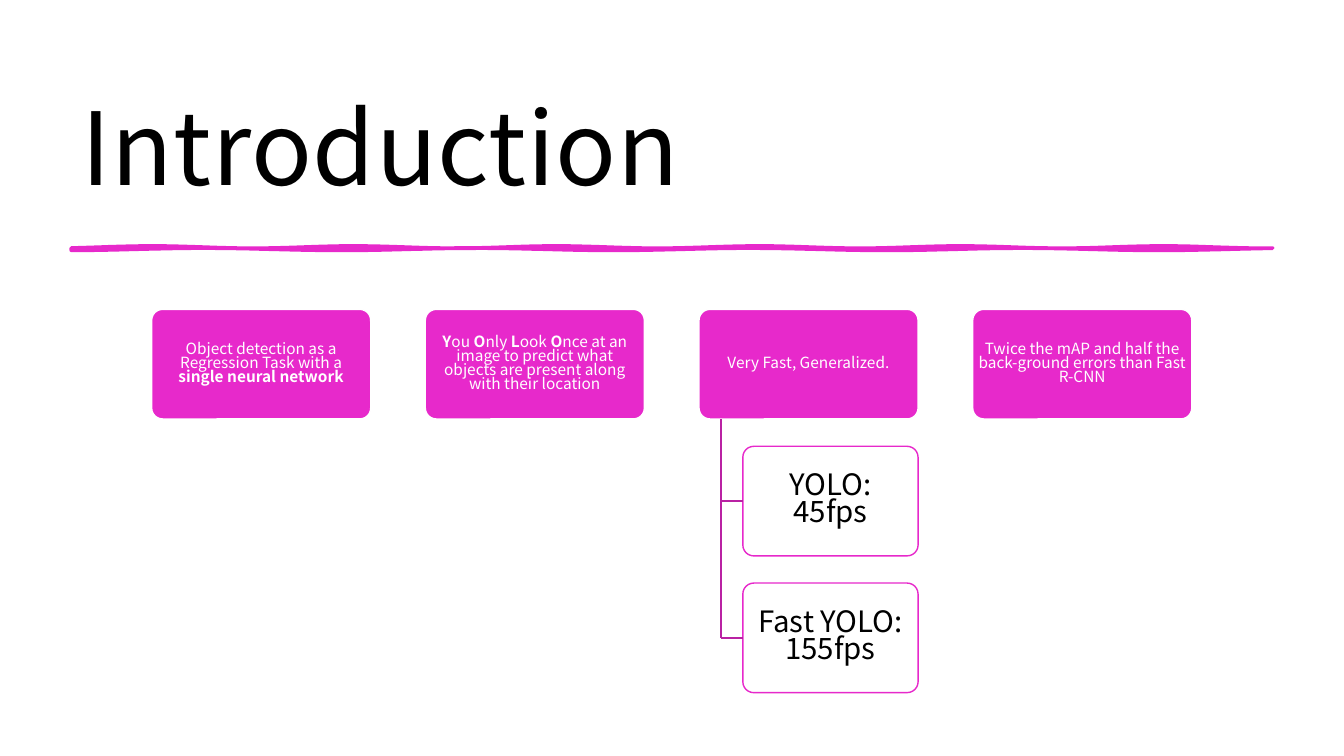
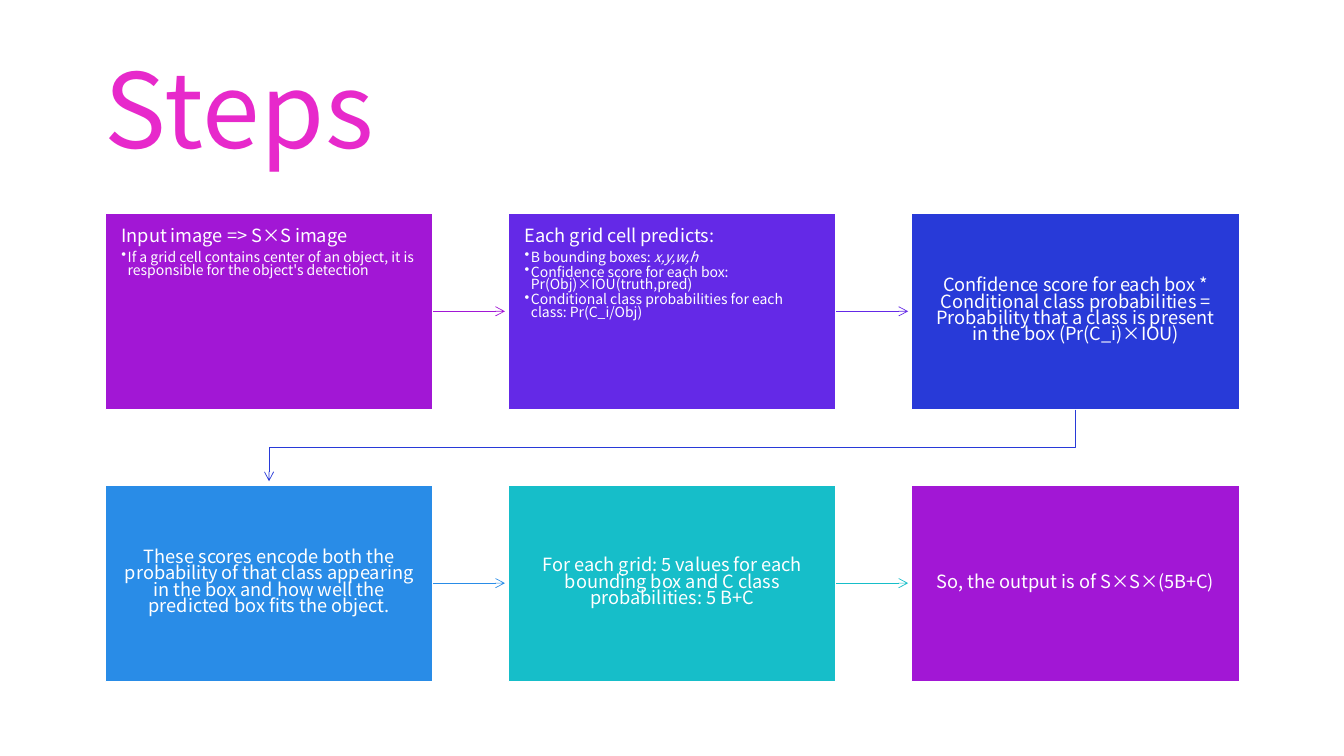
from dataclasses import dataclass
from math import sin

from lxml.etree import SubElement
from pptx import Presentation
from pptx.dml.color import RGBColor
from pptx.enum.shapes import MSO_CONNECTOR as Link, MSO_SHAPE as Preset
from pptx.enum.text import MSO_ANCHOR as Anchor, MSO_AUTO_SIZE as AutoSize, PP_ALIGN as Align
from pptx.oxml.ns import qn
from pptx.util import Pt

FONT = "Noto Sans CJK JP"
WHITE, BLACK = "FFFFFF", "000000"
PINK, PLUM = "E729CB", "B921A3"
PURPLE, VIOLET, BLUE, SKY, TEAL = "A217D5", "6429E7", "283AD8", "298CE7", "16BEC9"
TITLE_ONLY = 5
LINE_SPACING = 0.75


@dataclass(frozen=True)
class Words:
    text: str
    bold: bool = False
    italic: bool = False


@dataclass(frozen=True)
class TextStyle:
    size: float
    color: str
    align: Align = Align.CENTER
    line_spacing: float = LINE_SPACING
    space_after: float = 0
    bullet_indent: float = 0
    tracking: int = 0


@dataclass(frozen=True)
class Area:
    left: float
    top: float
    width: float
    height: float

    @property
    def right(self) -> float:
        return self.left + self.width

    @property
    def bottom(self) -> float:
        return self.top + self.height

    @property
    def center(self) -> float:
        return self.left + self.width / 2

    @property
    def middle(self) -> float:
        return self.top + self.height / 2


@dataclass(frozen=True)
class Panel:
    preset: Preset
    fill: str
    outline: str
    margin_x: float
    margin_y: float


@dataclass(frozen=True)
class Step:
    color: str
    heading: str
    bullets: tuple[tuple[Words, ...], ...] = ()


CARD = Panel(Preset.ROUNDED_RECTANGLE, PINK, WHITE, 1.5, 1.5)
SPEED = Panel(Preset.ROUNDED_RECTANGLE, WHITE, PINK, 2.75, 2)
CARD_TEXT = TextStyle(11, WHITE)
SPEED_TEXT = TextStyle(21, BLACK)
STEP_TEXT = TextStyle(13, WHITE)
HEADING_TEXT = TextStyle(13, WHITE, Align.LEFT, space_after=4.5)
BULLET_TEXT = TextStyle(10, WHITE, Align.LEFT, space_after=1.5, bullet_indent=4.5)

CARDS = (
    (Words("Object detection as a Regression Task with a "), Words("single neural network", bold=True)),
    (
        Words("Y", bold=True), Words("ou "), Words("O", bold=True), Words("nly "),
        Words("L", bold=True), Words("ook "), Words("O", bold=True),
        Words("nce at an image to predict what objects are present along with their location"),
    ),
    (Words("Very Fast, Generalized."),),
    (Words("Twice the mAP and half the back-ground errors than Fast R-CNN"),),
)
FAST_CARD = 2
SPEEDS = ("YOLO: 45fps", "Fast YOLO: 155fps")

STEPS = (
    Step(PURPLE, "Input image => S×S image", (
        (Words("If a grid cell contains center of an object, it is responsible for the object's detection"),),
    )),
    Step(VIOLET, "Each grid cell predicts:", (
        (Words("B bounding boxes: "), Words("x,y,w,h ", italic=True)),
        (Words("Confidence score for each box: Pr(Obj)×IOU(truth,pred)"),),
        (Words("Conditional class probabilities for each class: Pr(C_i/Obj)"),),
    )),
    Step(BLUE, "Confidence score for each box * Conditional class probabilities "
               "= Probability that a class is present in the box (Pr(C_i)×IOU)"),
    Step(SKY, "These scores encode both the probability of that class appearing in the box "
              "and how well the predicted box fits the object."),
    Step(TEAL, "For each grid: 5 values for each bounding box and C class probabilities: 5 B+C"),
    Step(PURPLE, "So, the output is of S×S×(5B+C)"),
)
STEP_COLUMNS = 3
ARROW_GAP = 2.5


def rgb(color: str) -> RGBColor:
    return RGBColor.from_string(color)


def write(paragraph, words: tuple[Words, ...], style: TextStyle) -> None:
    paragraph.alignment = style.align
    paragraph.line_spacing = style.line_spacing
    paragraph.space_before = Pt(0)
    paragraph.space_after = Pt(style.space_after)
    if style.bullet_indent:
        properties = paragraph._p.get_or_add_pPr()
        properties.set("marL", str(Pt(style.bullet_indent)))
        properties.set("indent", str(-Pt(style.bullet_indent)))
        SubElement(properties, qn("a:buChar"), char="•")
    for part in words:
        run = paragraph.add_run()
        run.text = part.text
        run.font.name = FONT
        run.font.size = Pt(style.size)
        run.font.bold = part.bold
        run.font.italic = part.italic
        run.font.color.rgb = rgb(style.color)
        properties = run._r.get_or_add_rPr()
        SubElement(properties, qn("a:ea"), typeface=FONT)
        if style.tracking:
            properties.set("spc", str(style.tracking))


def prepare_frame(frame, anchor: Anchor, margin_x: float, margin_y: float) -> None:
    frame.word_wrap = True
    frame.auto_size = AutoSize.NONE
    frame.vertical_anchor = anchor
    frame.margin_left = frame.margin_right = Pt(margin_x)
    frame.margin_top = frame.margin_bottom = Pt(margin_y)


def add_title_slide(deck, text: str, area: Area, size: float, color: str, line_spacing: float):
    slide = deck.slides.add_slide(deck.slide_layouts[TITLE_ONLY])
    title = slide.shapes.title
    title.left, title.top = Pt(area.left), Pt(area.top)
    title.width, title.height = Pt(area.width), Pt(area.height)
    prepare_frame(title.text_frame, Anchor.MIDDLE, 8.64, 8)
    style = TextStyle(size, color, Align.LEFT, line_spacing, tracking=50)
    write(title.text_frame.paragraphs[0], (Words(text),), style)
    return slide


def add_panel(slide, area: Area, panel: Panel, anchor: Anchor = Anchor.MIDDLE):
    shape = slide.shapes.add_shape(
        panel.preset, Pt(area.left), Pt(area.top), Pt(area.width), Pt(area.height))
    shape.shadow.inherit = False
    if panel.preset == Preset.ROUNDED_RECTANGLE:
        shape.adjustments[0] = 0.1
    shape.fill.solid()
    shape.fill.fore_color.rgb = rgb(panel.fill)
    shape.line.color.rgb = rgb(panel.outline)
    shape.line.width = Pt(1)
    prepare_frame(shape.text_frame, anchor, panel.margin_x, panel.margin_y)
    return shape


def add_arrowhead(line) -> None:
    SubElement(line.element.spPr.find(qn("a:ln")), qn("a:tailEnd"), type="arrow")


def add_straight(slide, start: tuple[float, float], end: tuple[float, float], color: str, width: float):
    line = slide.shapes.add_connector(Link.STRAIGHT, *(Pt(value) for value in start + end))
    line.line.color.rgb = rgb(color)
    line.line.width = Pt(width)
    SubElement(line.element.spPr, qn("a:effectLst"))
    return line


def add_outline(slide, points: list[tuple[float, float]], color: str, width: float, closed: bool):
    corners = [(Pt(x), Pt(y)) for x, y in points]
    builder = slide.shapes.build_freeform(*corners[0], scale=1.0)
    builder.add_line_segments(corners[1:], close=closed)
    outline = builder.convert_to_shape()
    outline.shadow.inherit = False
    if closed:
        outline.fill.solid()
        outline.fill.fore_color.rgb = rgb(color)
    else:
        outline.fill.background()
    outline.line.color.rgb = rgb(color)
    outline.line.width = Pt(width)
    return outline


def add_brush_stroke(slide) -> None:
    xs = [51 + 6.6 * index for index in range(131)]
    upper = [(x, 176.6 + 0.8 * sin(x / 23)) for x in xs]
    lower = [(x, 178 + 0.8 * sin(x / 31)) for x in reversed(xs)]
    add_outline(slide, upper + lower, PINK, 2.75, closed=True)


def build_introduction(deck) -> None:
    slide = add_title_slide(deck, "Introduction", Area(49.7, 49.7, 859.7, 103.7), 72, BLACK, 1.05)
    add_brush_stroke(slide)
    card_areas = [Area(108.3 + 195.5 * index, 221, 156.5, 78.3) for index in range(len(CARDS))]
    for area, words in zip(card_areas, CARDS):
        card = add_panel(slide, area, CARD)
        write(card.text_frame.paragraphs[0], words, CARD_TEXT)

    parent = card_areas[FAST_CARD]
    spine = parent.left + parent.width / 10
    speed_areas = [
        Area(spine + 15.65, 318.8 + 97.7 * index, 125.2, 78.3) for index in range(len(SPEEDS))]
    add_straight(slide, (spine, parent.bottom), (spine, speed_areas[-1].middle), PLUM, 1)
    for area, speed in zip(speed_areas, SPEEDS):
        box = add_panel(slide, area, SPEED)
        write(box.text_frame.paragraphs[0], (Words(speed),), SPEED_TEXT)
        branch = add_straight(slide, (spine, area.middle), (area.left, area.middle), PLUM, 1)
        branch.end_connect(box, 1)


def build_steps(deck) -> None:
    slide = add_title_slide(deck, "Steps", Area(66, 28.8, 828, 104.4), 74, PINK, 0.95)
    areas = []
    for index in range(len(STEPS)):
        row, column = divmod(index, STEP_COLUMNS)
        areas.append(Area(75.2 + 288 * column, 152.1 + 194.2 * row, 234, 140.5))

    for index, (step, area) in enumerate(zip(STEPS, areas)):
        panel = Panel(Preset.RECTANGLE, step.color, WHITE, 11.5, 12)
        box = add_panel(slide, area, panel, Anchor.TOP if step.bullets else Anchor.MIDDLE)
        frame = box.text_frame
        heading_style = HEADING_TEXT if step.bullets else STEP_TEXT
        write(frame.paragraphs[0], (Words(step.heading),), heading_style)
        for bullet in step.bullets:
            write(frame.add_paragraph(), bullet, BULLET_TEXT)

        if index + 1 == len(STEPS):
            continue
        following = areas[index + 1]
        if following.top == area.top:
            arrow = add_straight(
                slide, (area.right, area.middle), (following.left - ARROW_GAP, area.middle), step.color, 0.5)
            arrow.begin_connect(box, 3)
        else:
            turn = (area.bottom + following.top) / 2
            route = [
                (area.center, area.bottom), (area.center, turn),
                (following.center, turn), (following.center, following.top - ARROW_GAP),
            ]
            arrow = add_outline(slide, route, step.color, 0.5, closed=False)
        add_arrowhead(arrow)


def main() -> None:
    deck = Presentation()
    deck.slide_width, deck.slide_height = Pt(960), Pt(540)
    build_introduction(deck)
    build_steps(deck)
    deck.save("out.pptx")


if __name__ == "__main__":
    main()
